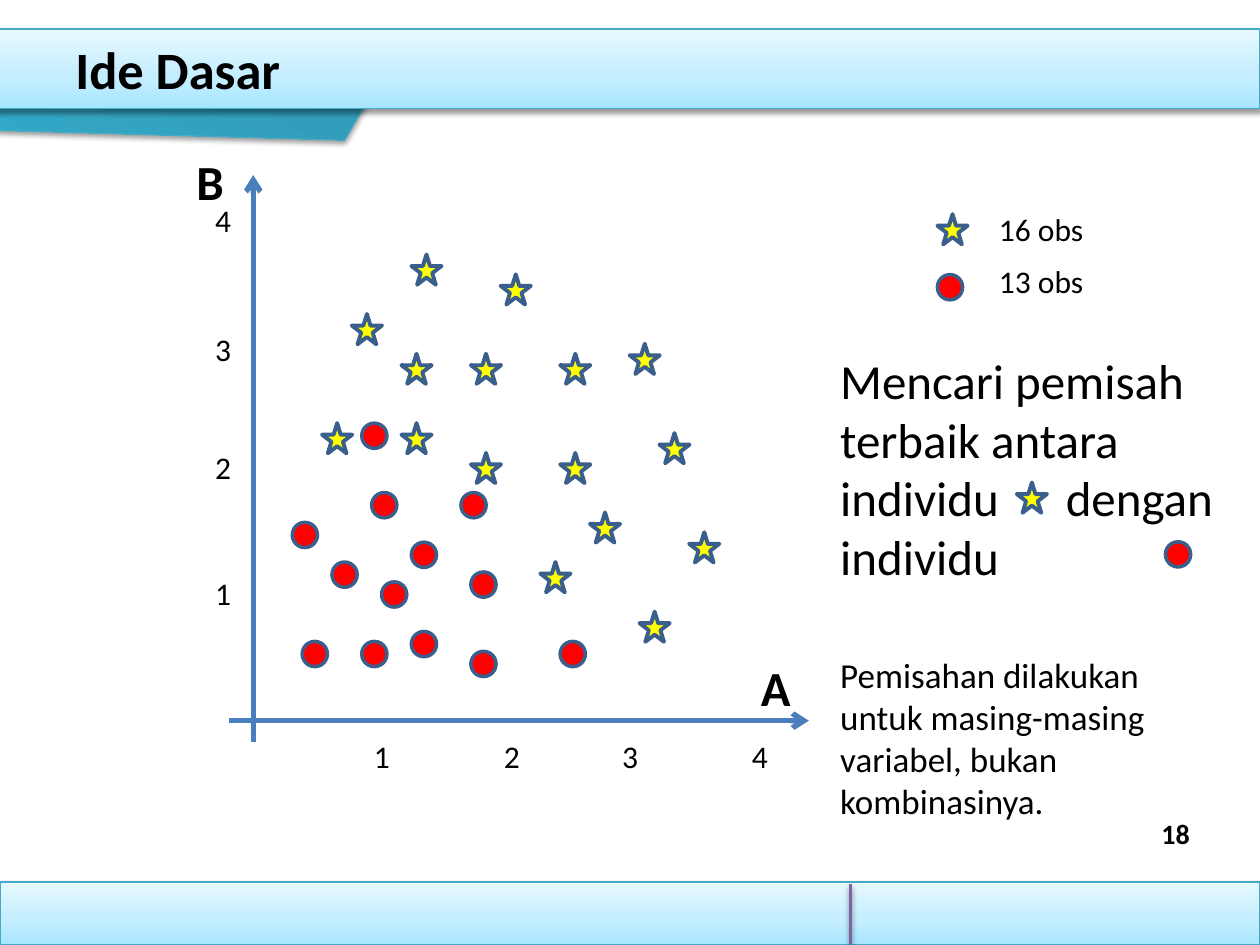
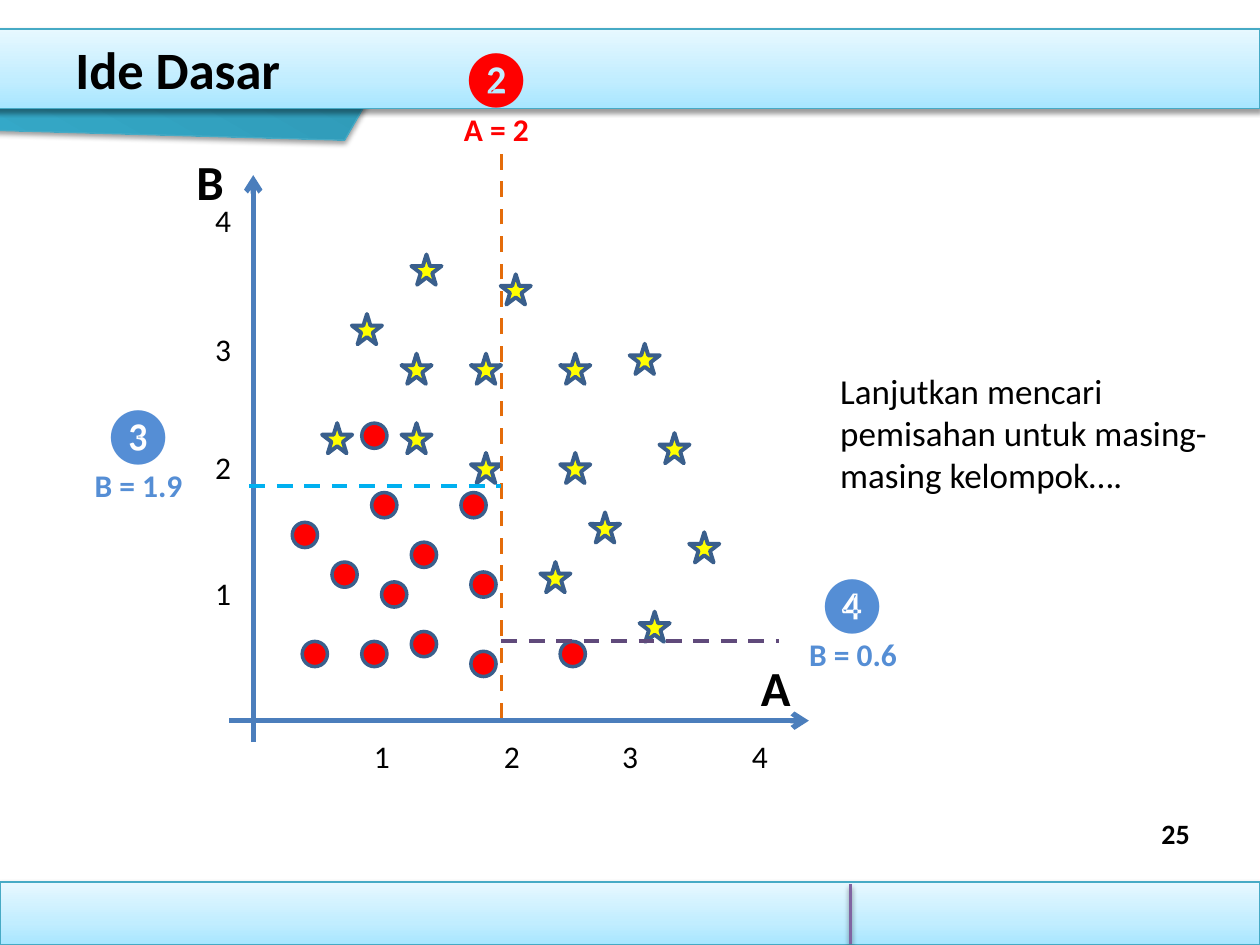
import pptx
import pptx.util
import pptx.dml.color
import pptx.enum.dml
import pptx.enum.shapes
import pptx.enum.text
import pptx.oxml.ns
import lxml.etree

CELL = pptx.util.Inches(0.1)  # the slide is 100 columns by 75 rows
STEP = pptx.util.Mm(2) / CELL  # spacing of the scatter grid, in cells
PLOT_LEFT, PLOT_TOP = 23.2, 20.2

COLOURS = {
    "text": "000000", "band edge": "46AAC5", "divider": "8064A2",
    "axis": "4B7EBC", "mark edge": "3A5F8C", "star": "FFFF00", "dot": "FF0000",
    "split A": "E46C0A", "split left": "00B0F0", "split right": "604A7B",
    "badge A": "FF0000", "badge B": "558ED5",
}
PALE = [(0, "A7E6FF"), (0.35, "C1EDFF"), (1, "E7F8FF")]
TEAL = [(0, "2A88A2"), (0.8, "37B1D2"), (1, "34B4D6")]

SHAPE = pptx.enum.shapes.MSO_SHAPE
ALIGN = pptx.enum.text.PP_ALIGN
qn = pptx.oxml.ns.qn
rgb = pptx.dml.color.RGBColor.from_string

# outline, box, rotation, gradient
BANDS = [
    (SHAPE.RECTANGLE, (0, 70, 100, 5), 0, PALE),
    (SHAPE.DIAGONAL_STRIPE, (-18.4, -8.1, 46.1, 24.9), 210, TEAL),
    (SHAPE.RECTANGLE, (-5.5, 2.3, 105.5, 6.3), 0, PALE),
]
# outline, size, edge width
MARKS = {
    "star": (SHAPE.STAR_5_POINT, 2.4, 2.25),
    "dot": (SHAPE.FLOWCHART_CONNECTOR, 2, 2),
}
# column and row on the scatter grid
OBSERVATIONS = {
    "star": [(12, 0), (6, 6), (18, 10), (21, 2), (34, 9), (18, 20), (27, 10),
             (30, 26), (27, 20), (37, 18), (25, 31), (40, 28), (11, 17),
             (3, 17), (11, 10), (35, 36)],
    "dot": [(8, 24), (17, 24), (12, 29), (4, 31), (12, 38), (18, 32), (9, 33),
            (27, 39), (18, 40), (7, 17), (0, 27), (7, 39), (1, 39)],
}
TICKS_A = [28.7, 39, 48.4, 58.7]
TICKS_B = [45.1, 35.1, 25.7, 15.5]

SLIDES = [
    {
        "page": "18",
        "notes": [
            ((78.3, 16.2, 11, 4), "16 obs", 18),
            ((78.3, 20.3, 11, 4), "13 obs", 18),
            ((65.7, 27.3, 32.5, 19.9),
             "Mencari pemisah terbaik antara individu\tdengan individu", 28),
            ((65.7, 51.4, 32.5, 14.5),
             "Pemisahan dilakukan untuk masing-masing variabel, bukan kombinasinya.", 20),
        ],
        "marks": [("star", 74.4, 17), ("dot", 74.4, 21.8),
                  ("star", 80.7, 38.3), ("dot", 92.5, 43)],
        "splits": [],
    },
    {
        "page": "25",
        "notes": [((65.7, 28.8, 32.5, 11.1),
                   "Lanjutkan mencari pemisahan untuk masing-masing kelompok….", 20)],
        "marks": [],
        "splits": [
            ((39.8, 57, 39.8, 12), "split A", (33.5, 2.9), "❷", "A = 2", "badge A"),
            ((19.8, 38.6, 39.8, 38.6), "split left", (5.1, 31.2), "❸", "B = 1.9", "badge B"),
            ((39.8, 50.9, 61.8, 50.9), "split right", (61.8, 44.6), "❹", "B = 0.6", "badge B"),
        ],
    },
]


def write(box, lines, colour="text", align=ALIGN.LEFT,
          anchor=pptx.enum.text.MSO_ANCHOR.TOP):
    """Add a text box; each line is (text, font settings)."""
    frame = slide.shapes.add_textbox(*[round(v * CELL) for v in box]).text_frame
    frame.word_wrap = True
    frame.vertical_anchor = anchor
    for index, (text, settings) in enumerate(lines):
        paragraph = frame.add_paragraph() if index else frame.paragraphs[0]
        paragraph.alignment = align
        if "\t" in text:
            tabs = lxml.etree.SubElement(paragraph._p.get_or_add_pPr(), qn("a:tabLst"))
            lxml.etree.SubElement(tabs, qn("a:tab"), pos=str(round(17.9 * CELL)), algn="l")
        run = paragraph.add_run()
        run.text = text
        run.font.name = "Calibri"
        run.font.color.rgb = rgb(COLOURS[colour])
        for name, value in settings.items():
            setattr(run.font, name, value)


def rule(ends, colour, width, dash=None, arrow=False):
    """Add a straight line and return its effect list."""
    line = slide.shapes.add_connector(pptx.enum.shapes.MSO_CONNECTOR.STRAIGHT,
                                      *[round(v * CELL) for v in ends])
    line.line.color.rgb = rgb(COLOURS[colour])
    line.line.width = pptx.util.Pt(width)
    line.line.dash_style = dash
    if arrow:
        lxml.etree.SubElement(line.line._get_or_add_ln(), qn("a:tailEnd"), type="arrow")
    return lxml.etree.SubElement(line._element.spPr, qn("a:effectLst"))


Pt = pptx.util.Pt
deck = pptx.Presentation()
deck.slide_width, deck.slide_height = 100 * CELL, 75 * CELL

for content in SLIDES:
    slide = deck.slides.add_slide(deck.slide_layouts[6])

    # Bands, footer divider, title and page number
    shadowed = []
    for outline, box, rotation, gradient in BANDS:
        band = slide.shapes.add_shape(outline, *[round(v * CELL) for v in box])
        band.rotation = rotation
        if outline == SHAPE.DIAGONAL_STRIPE:
            band.adjustments[0] = 0.72
        band.fill.gradient()
        band.fill.gradient_angle = 90
        stop_list = band._element.spPr.find(".//" + qn("a:gsLst"))
        lxml.etree.SubElement(stop_list, qn("a:gs"), pos="0")
        for stop, (position, colour) in zip(band.fill.gradient_stops, gradient):
            stop.position = position
            stop.color.rgb = rgb(colour)
        band.line.color.rgb = rgb(COLOURS["band edge"])
        band.line.width = Pt(0.75)
        band.shadow.inherit = False
        shadowed.append(band._element.spPr.find(qn("a:effectLst")))
    shadowed.append(rule((67.5, 70.2, 67.5, 74.9), "divider", 2))
    for effects in shadowed:
        shadow = lxml.etree.SubElement(effects, qn("a:outerShdw"), blurRad=str(Pt(3.1)),
                                       dist=str(Pt(1.6)), dir="5400000", rotWithShape="0")
        tone = lxml.etree.SubElement(shadow, qn("a:srgbClr"), val=COLOURS["text"])
        lxml.etree.SubElement(tone, qn("a:alpha"), val="38000")
    write((5, -0.8, 90, 12.5), [("Ide Dasar", {"size": Pt(30), "bold": True})],
          align=ALIGN.JUSTIFY, anchor=pptx.enum.text.MSO_ANCHOR.MIDDLE)
    write((91.2, 64.3, 7.6, 3.9), [(content["page"], {"size": Pt(16), "bold": True})])

    for box, text, size in content["notes"]:
        write(box, [(text, {"size": Pt(size)})])

    # Axes
    for ends in [(20.1, 58.9, 20.1, 13.9), (18.2, 57.2, 64.2, 57.2)]:
        rule(ends, "axis", 3, arrow=True)
    for value, (left, top) in enumerate(zip(TICKS_A, TICKS_B), start=1):
        for corner in [(16.1, top), (left, 58)]:
            write((*corner, 2.4, 4), [(str(value), {"size": Pt(18)})])
    for name, corner in [("B", (14.6, 11.5)), ("A", (59.4, 51.7))]:
        write((*corner, 4.7, 5.7), [(name, {"size": Pt(28), "bold": True})])

    # Observations and the marks inside the notes
    plotted = [(kind, PLOT_LEFT + column * STEP, PLOT_TOP + row * STEP)
               for kind, places in OBSERVATIONS.items() for column, row in places]
    for kind, left, top in plotted + content["marks"]:
        outline, size, edge = MARKS[kind]
        mark = slide.shapes.add_shape(outline, *[round(v * CELL) for v in (left, top, size, size)])
        mark.shadow.inherit = False
        mark.fill.solid()
        mark.fill.fore_color.rgb = rgb(COLOURS[kind])
        mark.line.color.rgb = rgb(COLOURS["mark edge"])
        mark.line.width = Pt(edge)

    # Splits and their numbered labels
    for ends, split, corner, number, condition, badge in content["splits"]:
        rule(ends, split, 2.25, dash=pptx.enum.dml.MSO_LINE.DASH)
        write((*corner, 11.8, 9.4),
              [(number, {"size": Pt(32)}), (condition, {"size": Pt(18), "bold": True})],
              badge, ALIGN.CENTER)

deck.save("out.pptx")
